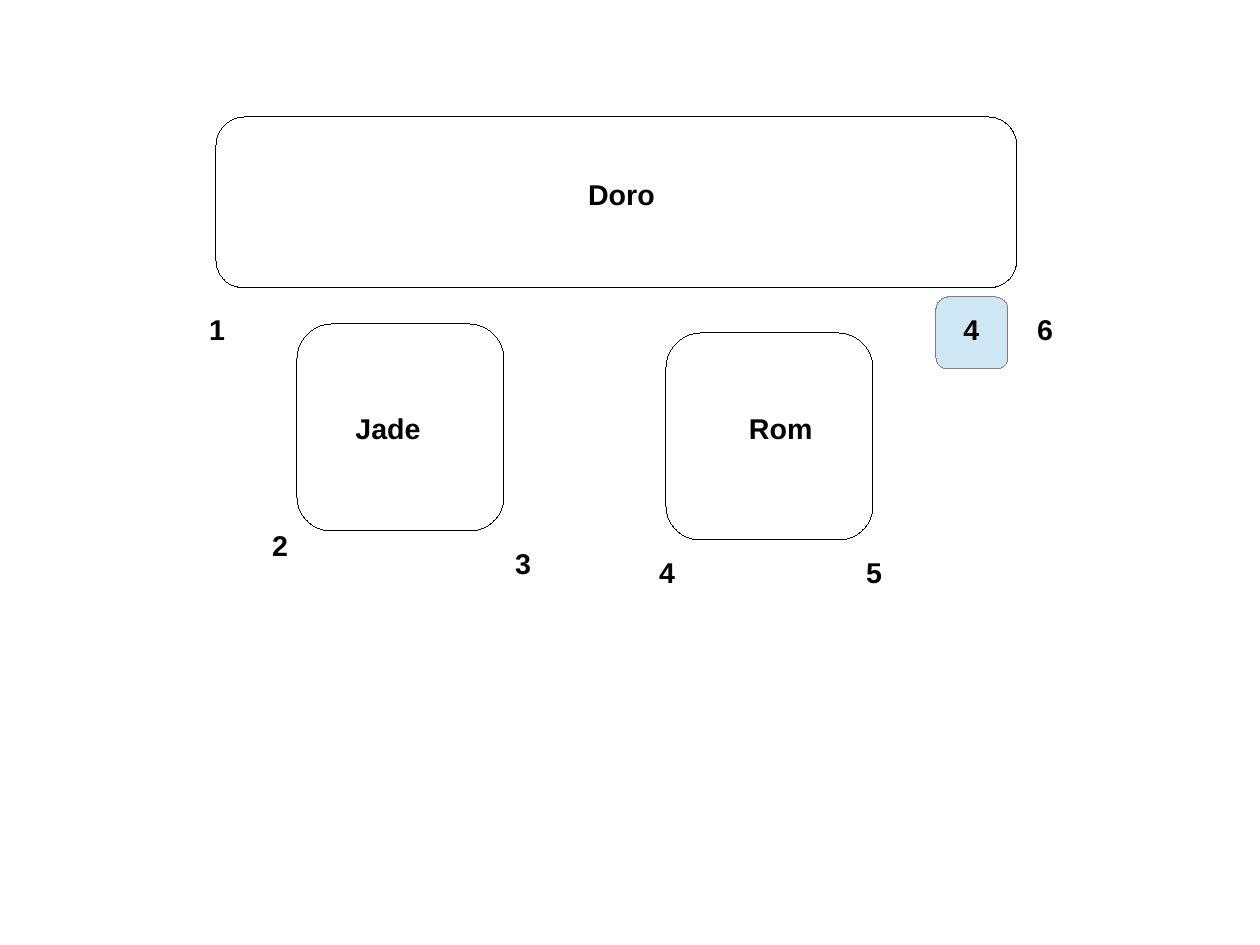
from pptx import Presentation
from pptx.dml.color import RGBColor
from pptx.enum.shapes import MSO_SHAPE
from pptx.enum.text import MSO_AUTO_SIZE, PP_ALIGN
from pptx.util import Emu, Mm, Pt

BLACK = RGBColor(0x00, 0x00, 0x00)
GREY = RGBColor(0x80, 0x80, 0x80)
LIGHT_BLUE = RGBColor(0xCF, 0xE7, 0xF5)
HAIRLINE = Emu(1)

# The plan lies on a grid of 140 columns by 105 rows
CELL = Mm(2)
COLUMNS, ROWS = 140, 105
LABEL_ROWS = 5
DIGIT_COLUMNS = 4.4
NAME_COLUMNS = 10.2


def cells(count):
    return round(count * CELL)


def add_table_outline(slide, column, row, columns, rows, fill=None, line=BLACK):
    shape = slide.shapes.add_shape(
        MSO_SHAPE.ROUNDED_RECTANGLE,
        cells(column), cells(row), cells(columns), cells(rows))
    shape.shadow.inherit = False
    if fill is None:
        shape.fill.background()
    else:
        shape.fill.solid()
        shape.fill.fore_color.rgb = fill
    shape.line.color.rgb = line
    shape.line.width = HAIRLINE


def add_label(slide, text, column, row, columns=DIGIT_COLUMNS,
              alignment=PP_ALIGN.LEFT):
    box = slide.shapes.add_textbox(
        cells(column), cells(row), cells(columns), cells(LABEL_ROWS))
    text_frame = box.text_frame
    text_frame.text = text
    text_frame.word_wrap = True
    text_frame.auto_size = MSO_AUTO_SIZE.SHAPE_TO_FIT_TEXT
    paragraph = text_frame.paragraphs[0]
    paragraph.alignment = alignment
    font = paragraph.runs[0].font
    font.name = "Arial"
    font.size = Pt(18)
    font.bold = True
    font.color.rgb = BLACK


def main():
    presentation = Presentation()
    presentation.slide_width = cells(COLUMNS)
    presentation.slide_height = cells(ROWS)
    slide = presentation.slides.add_slide(presentation.slide_layouts[6])

    # Highlighted seat
    add_table_outline(slide, 104, 33, 8, 8, LIGHT_BLUE, GREY)

    # Tables with their names
    add_table_outline(slide, 24, 13, 89, 19)
    add_table_outline(slide, 33, 36, 23, 23)
    add_table_outline(slide, 74, 37, 23, 23)
    add_label(slide, "Doro", 64.1, 19, NAME_COLUMNS)
    add_label(slide, "Jade", 38.25, 45, NAME_COLUMNS)
    add_label(slide, "Rom", 81.65, 45, NAME_COLUMNS, PP_ALIGN.CENTER)

    # Seat numbers: text, column, row
    seats = [("1", 22, 34), ("2", 29, 58), ("3", 56, 60), ("4", 72, 61),
             ("5", 95, 61), ("6", 114, 34), ("4", 105.8, 34)]
    for number, column, row in seats:
        add_label(slide, number, column, row)

    presentation.save("out.pptx")


if __name__ == "__main__":
    main()
